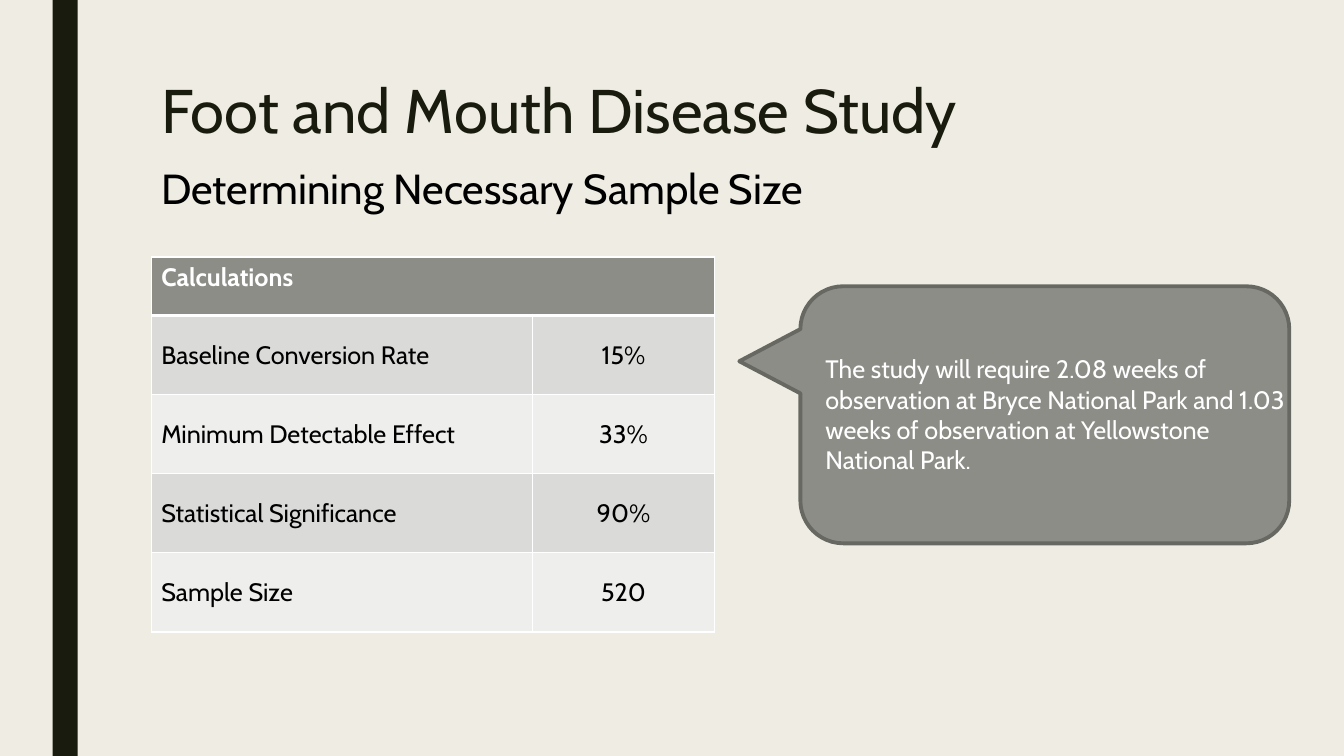
import pptx
import pptx.util
import pptx.dml.color
import pptx.enum.shapes
import pptx.enum.text
import pptx.oxml
import pptx.oxml.ns

Pt = pptx.util.Pt
ALIGN = pptx.enum.text.PP_ALIGN
ANCHOR = pptx.enum.text.MSO_ANCHOR
FIT = pptx.enum.text.MSO_AUTO_SIZE
SHAPE = pptx.enum.shapes.MSO_SHAPE
FONT = "Cabin"
DARK, GREY, EDGE = "191B0E", "8C8D86", "686863"
BLACK, WHITE = "000000", "FFFFFF"
BANDS = ["DADBD9", "EEEEED"]
RATES = [
    ("Baseline Conversion Rate", "15%"),
    ("Minimum Detectable Effect", "33%"),
    ("Statistical Significance", "90%"),
    ("Sample Size", "520"),
]
FINDING = (
    "The study will require 2.08 weeks of observation at Bryce National Park "
    "and 1.03 weeks of observation at Yellowstone National Park."
)


def paint(target, color):
    """Give a fill a solid colour."""
    target.solid()
    target.fore_color.rgb = pptx.dml.color.RGBColor.from_string(color)


def write(frame, text, size, color, bold=False, align=ALIGN.LEFT):
    """Set one formatted paragraph and return it."""
    frame.text = text
    para = frame.paragraphs[0]
    para.alignment = align
    font = para.runs[0].font
    font.name, font.size, font.bold = FONT, Pt(size), bold
    paint(font.fill, color)
    return para


def place(shape, box):
    """Move a shape to a box in points."""
    shape.left, shape.top, shape.width, shape.height = map(Pt, box)


def add_box(slide, kind, box, color):
    """Add a filled shape without outline or shadow."""
    shape = slide.shapes.add_shape(kind, *map(Pt, box))
    shape.shadow.inherit = False
    paint(shape.fill, color)
    shape.line.fill.background()
    return shape


def add_text(slide, box, text, size, color):
    """Add a wrapped text box that grows with its text."""
    frame = slide.shapes.add_textbox(*map(Pt, box)).text_frame
    frame.word_wrap = True
    frame.auto_size = FIT.SHAPE_TO_FIT_TEXT
    write(frame, text, size, color)


def add_head(slide, box):
    """Fill the title and the subtitle below it."""
    left, top, width, height = box
    title = slide.shapes.title
    place(title, box)
    frame = title.text_frame
    para = write(frame, "Foot and Mouth Disease Study", 44, DARK)
    para.line_spacing = 0.89
    frame.vertical_anchor = ANCHOR.TOP
    frame.word_wrap = True
    frame.auto_size = FIT.NONE
    add_text(slide, (left, top + 58.3, 474.5, 44),
             "Determining Necessary Sample Size", 30, BLACK)


def add_edges(cell, widths):
    """Draw white cell borders, given left, right, top and bottom widths."""
    props = cell._tc.get_or_add_tcPr()
    for spot, (side, width) in enumerate(zip("LRTB", widths)):
        props.insert(spot, pptx.oxml.parse_xml(
            f'<a:ln{side} {pptx.oxml.ns.nsdecls("a")} w="{Pt(width)}">'
            f'<a:solidFill><a:srgbClr val="{WHITE}"/></a:solidFill></a:ln{side}>'))


def add_rates(slide, box):
    """Add the calculations table with a merged header row."""
    head = 41.8
    step = (box[3] - head) / len(RATES)
    rows = [("Calculations", "")] + RATES
    table = slide.shapes.add_table(len(rows), 2, *map(Pt, box)).table
    table.columns[0].width = Pt(272.2)
    table.columns[1].width = Pt(box[2] - 272.2)
    table.cell(0, 0).merge(table.cell(0, 1))
    for row, texts in enumerate(rows):
        table.rows[row].height = Pt(step if row else head)
        for col, text in enumerate(texts):
            cell = table.cell(row, col)
            paint(cell.fill, BANDS[(row - 1) % 2] if row else GREY)
            add_edges(cell, (1, 1, 3 if row == 1 else 1, 1 if row else 3))
            cell.vertical_anchor = ANCHOR.MIDDLE if row else ANCHOR.TOP
            if text:
                write(cell.text_frame, text, 18, BLACK if row else WHITE,
                      not row, ALIGN.CENTER if col else ALIGN.LEFT)


def add_call(slide, box):
    """Add the callout, turned to point left, and its text."""
    left, top, width, height = box
    turned = (left + (width - height) / 2, top + (height - width) / 2, height, width)
    call = add_box(slide, SHAPE.ROUNDED_RECTANGULAR_CALLOUT, turned, GREY)
    call.rotation = 90
    paint(call.line.fill, EDGE)
    call.line.width = Pt(2.75)
    add_text(slide, (left + 10.8, top + 44.6, width + 1.4, 94.3), FINDING, 18, WHITE)


def main():
    """Build and save the slide."""
    deck = pptx.Presentation()
    deck.slide_width, deck.slide_height = Pt(960), Pt(540)
    slide = deck.slides.add_slide(deck.slide_layouts.get_by_name("Title Only"))
    paint(slide.background.fill, "EFEDE3")
    add_box(slide, SHAPE.RECTANGLE, (37.5, 0, 18, 540), DARK)
    add_head(slide, (108, 54, 756, 116.6))
    add_rates(slide, (108, 183.6, 402.5, 267.8))
    add_call(slide, (571.7, 204.5, 349.2, 183.6))
    deck.save("out.pptx")


if __name__ == "__main__":
    main()
